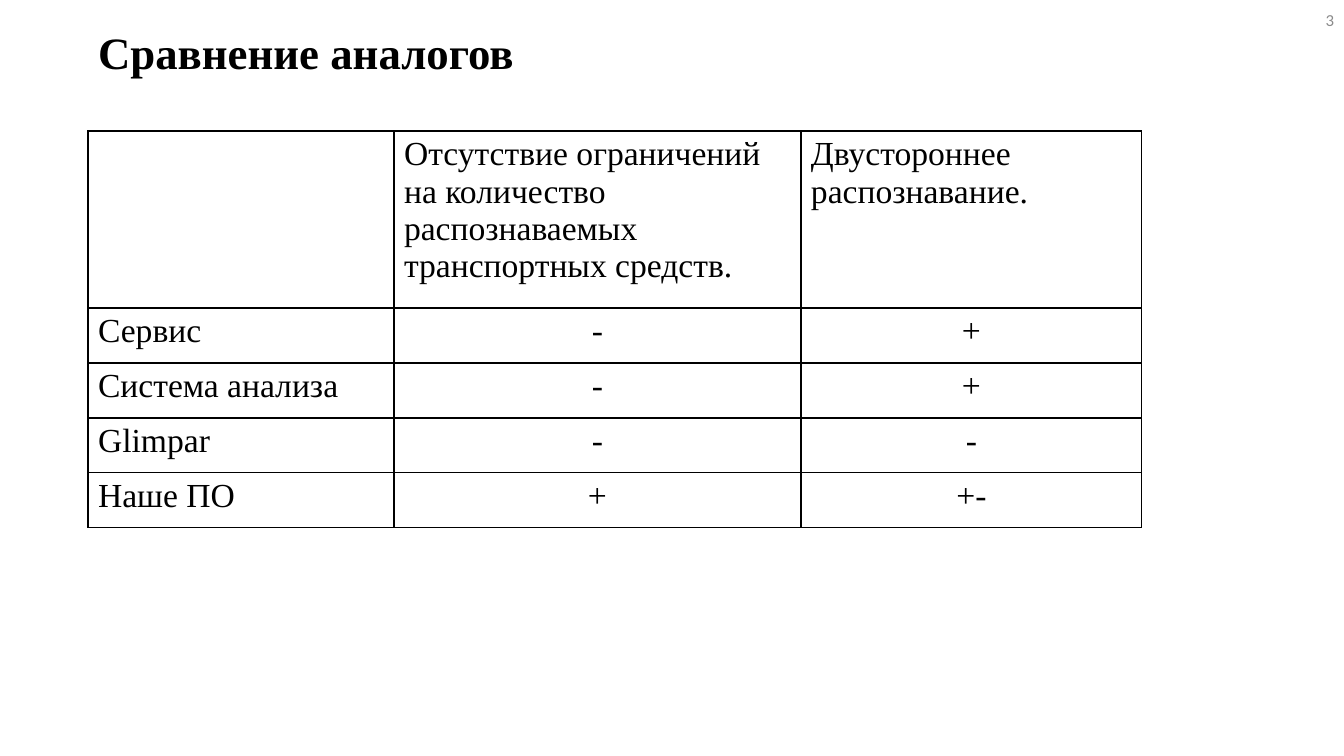
from dataclasses import dataclass

from lxml.etree import SubElement
from pptx import Presentation
from pptx.dml.color import RGBColor
from pptx.enum.text import MSO_ANCHOR, MSO_AUTO_SIZE, PP_ALIGN
from pptx.oxml.ns import qn
from pptx.slide import Slide
from pptx.table import _Cell
from pptx.text.text import TextFrame
from pptx.util import Emu, Pt

EMU_PER_INCH = 914400
PX_PER_INCH = 100.8
BLACK, WHITE, GRAY = "000000", "FFFFFF", "8B8B8B"
SERIF = "Times New Roman"
COLUMN_WIDTHS = (306, 407, 341)
HEADER_HEIGHT, ROW_HEIGHT = 177, 55


@dataclass(frozen=True)
class Box:
    left: int
    top: int
    width: int
    height: int

    def emu(self) -> tuple[Emu, ...]:
        return tuple(px(value) for value in (self.left, self.top, self.width, self.height))


@dataclass(frozen=True)
class TextStyle:
    size: int
    font: str = SERIF
    color: str = BLACK
    bold: bool = False
    align: PP_ALIGN = PP_ALIGN.LEFT


@dataclass(frozen=True)
class Comparison:
    name: str
    unlimited: str
    two_way: str


TITLE_STYLE = TextStyle(32, bold=True)
LABEL_STYLE = TextStyle(24)
MARK_STYLE = TextStyle(24, align=PP_ALIGN.CENTER)
NUMBER_STYLE = TextStyle(12, "Calibri", GRAY, align=PP_ALIGN.RIGHT)

HEADER = Comparison(
    "",
    "Отсутствие ограничений на количество распознаваемых транспортных средств.",
    "Двустороннее распознавание.",
)
PRODUCTS = (
    Comparison("Сервис", "-", "+"),
    Comparison("Система анализа", "-", "+"),
    Comparison("Glimpar", "-", "-"),
    Comparison("Наше ПО", "+", "+-"),
)


def px(value: int) -> Emu:
    return Emu(round(value * EMU_PER_INCH / PX_PER_INCH))


def rgb(color: str) -> RGBColor:
    return RGBColor.from_string(color)


def write(text_frame: TextFrame, text: str, style: TextStyle) -> None:
    text_frame.text = text
    paragraph = text_frame.paragraphs[0]
    paragraph.alignment = style.align
    paragraph.font.size = Pt(style.size)
    for run in paragraph.runs:
        run.font.name = style.font
        run.font.size = Pt(style.size)
        run.font.bold = style.bold
        run.font.color.rgb = rgb(style.color)


def outline(cell: _Cell) -> None:
    """Draw a thin black border; call before the fill, which must follow it in the XML."""
    properties = cell._tc.get_or_add_tcPr()
    for side in ("lnL", "lnR", "lnT", "lnB"):
        line = SubElement(properties, qn(f"a:{side}"), w=str(Pt(0.96)))
        fill = SubElement(line, qn("a:solidFill"))
        SubElement(fill, qn("a:srgbClr"), val=BLACK)


def add_title(slide: Slide, text: str, box: Box) -> None:
    title = slide.shapes.title
    title.left, title.top, title.width, title.height = box.emu()
    text_frame = title.text_frame
    text_frame.auto_size = MSO_AUTO_SIZE.NONE
    text_frame.vertical_anchor = MSO_ANCHOR.TOP
    write(text_frame, text, TITLE_STYLE)


def add_page_number(slide: Slide, text: str, box: Box) -> None:
    text_frame = slide.shapes.add_textbox(*box.emu()).text_frame
    text_frame.word_wrap = True
    text_frame.vertical_anchor = MSO_ANCHOR.MIDDLE
    write(text_frame, text, NUMBER_STYLE)


def add_comparison_table(slide: Slide, left: int, top: int) -> None:
    rows = (HEADER, *PRODUCTS)
    heights = (HEADER_HEIGHT, *[ROW_HEIGHT] * len(PRODUCTS))
    box = Box(left, top, sum(COLUMN_WIDTHS), sum(heights))
    table = slide.shapes.add_table(len(rows), len(COLUMN_WIDTHS), *box.emu()).table
    for column, width in zip(table.columns, COLUMN_WIDTHS):
        column.width = px(width)
    for row, height, comparison in zip(table.rows, heights, rows):
        row.height = px(height)
        mark_style = LABEL_STYLE if comparison is HEADER else MARK_STYLE
        texts = (comparison.name, comparison.unlimited, comparison.two_way)
        styles = (LABEL_STYLE, mark_style, mark_style)
        for cell, text, style in zip(row.cells, texts, styles):
            outline(cell)
            cell.fill.solid()
            cell.fill.fore_color.rgb = rgb(WHITE)
            write(cell.text_frame, text, style)


def main() -> None:
    presentation = Presentation()
    presentation.slide_width, presentation.slide_height = px(1344), px(756)
    title_only = presentation.slide_layouts[5]
    slide = presentation.slides.add_slide(title_only)
    add_comparison_table(slide, left=88, top=131)
    add_title(slide, "Сравнение аналогов", Box(88, 20, 1025, 64))
    add_page_number(slide, "3", Box(1042, 0, 302, 40))
    presentation.save("out.pptx")


if __name__ == "__main__":
    main()
